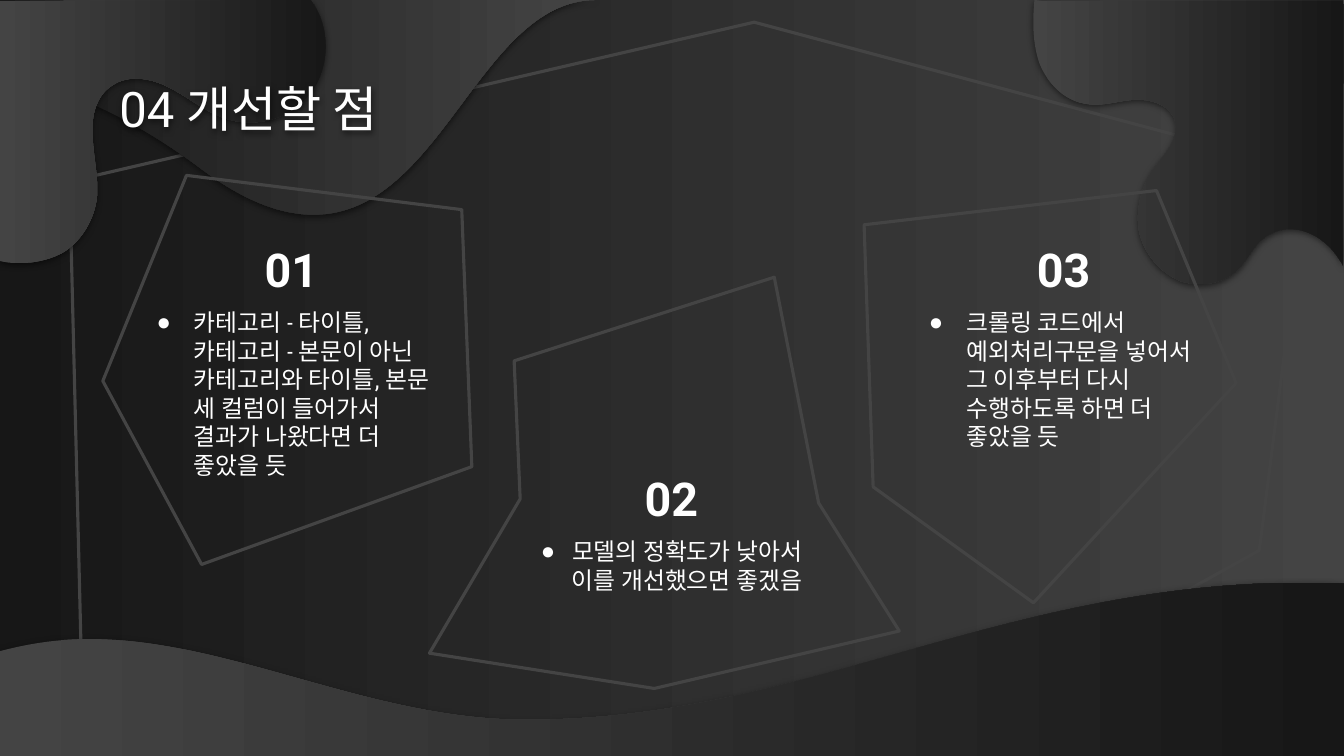
from copy import deepcopy
from dataclasses import dataclass, field

from lxml import etree
from pptx import Presentation, util as u
from pptx.dml import color
from pptx.enum import text
from pptx.oxml import ns

PX = 9144


@dataclass(frozen=True)
class Theme:
    dark: str = "171717"
    light: str = "444444"
    ink: str = "FFFFFF"
    shade: str = "000000"
    head_font: str = "Roboto"
    list_font: str = "Roboto Condensed"
    bullet_font: str = "Arial"
    title_size: float = 35
    number_size: float = 33.3
    list_size: float = 17
    line_width: float = 2.25
    inset: float = 9.6


@dataclass(frozen=True)
class Wave:
    box: tuple
    start: tuple
    segments: tuple
    light_first: bool = True


@dataclass(frozen=True)
class Label:
    words: str
    box: tuple
    size: float
    font: str
    bold: bool = False
    align: text.PP_ALIGN = text.PP_ALIGN.LEFT
    anchor: text.MSO_ANCHOR = text.MSO_ANCHOR.TOP
    bullet: bool = False
    margin: int = 0
    hang: int = 0
    after: float = 0


@dataclass(frozen=True)
class Card:
    number: str
    words: str
    left: int
    top: int
    height: int
    frame: tuple
    style: dict = field(default_factory=lambda: {"margin": 50, "hang": 37})


THEME = Theme()

BACKDROP_FRAME = ((69, 180), (82, 710), (929, 724), (1249, 546), (1297, 169), (748, 22))

WAVES = (
    Wave((1024, 0, 310, 286), (1332, 263), (
        (1324, 249, 1313, 237, 1298, 231), (1284, 225, 1266, 226, 1254, 236),
        (1244, 243, 1239, 255, 1231, 264), (1217, 281, 1192, 286, 1171, 279),
        (1151, 271, 1135, 252, 1130, 231), (1126, 210, 1131, 187, 1143, 169),
        (1149, 161, 1155, 154, 1160, 146), (1165, 138, 1168, 128, 1165, 119),
        (1160, 104, 1141, 98, 1125, 99), (1109, 100, 1093, 106, 1077, 103),
        (1056, 100, 1039, 83, 1031, 63), (1024, 43, 1024, 21, 1026, 0),
        (1029, 0, 1032, 1, 1034, 1), (1332, 1), (1333, 88, 1330, 176, 1332, 263))),
    Wave((0, 0, 591, 214), (311, 213), (
        (438, 213, 476, 0, 591, 0), (0, 0), (1, 75),
        (1, 75, 87, 84, 196, 165), (242, 200, 279, 213, 311, 213)), False),
    Wave((0, 0, 328, 264), (0, 259), (
        (20, 264, 48, 260, 65, 249), (82, 237, 93, 218, 96, 197),
        (98, 178, 93, 158, 92, 138), (90, 118, 94, 96, 111, 85),
        (128, 73, 152, 78, 170, 88), (189, 98, 205, 112, 225, 118),
        (256, 128, 292, 116, 310, 90), (328, 63, 327, 25, 308, 0), (0, 1))),
    Wave((0, 578, 1333, 172), (1295, 578), (
        (993, 578, 796, 714, 525, 714), (522, 714, 518, 714, 515, 714),
        (363, 712, 227, 634, 88, 634), (59, 634, 30, 638, 0, 646),
        (0, 750), (1333, 750), (1333, 579), (1320, 578, 1307, 578, 1295, 578))),
)

CARDS = (
    Card("01", "카테고리 - 타이틀, 카테고리 - 본문이 아닌 카테고리와 타이틀, 본문 세 컬럼이 "
         "들어가서 결과가 나왔다면 더 좋았을 듯", 129, 226, 94,
         ((102, 378), (200, 560), (468, 463), (458, 208), (185, 174))),
    Card("02", "모델의 정확도가 낮아서 이를 개선했으면 좋겠음", 506, 453, 94,
         ((510, 358), (516, 495), (426, 648), (649, 683), (892, 626), (812, 499), (768, 275)),
         {"margin": 31, "hang": 31, "after": 21.3, "align": text.PP_ALIGN.CENTER}),
    Card("03", "크롤링 코드에서 예외처리구문을 넣어서 그 이후부터 다시 수행하도록 하면 더 좋았을 듯",
         895, 226, 162,
         ((857, 223), (866, 483), (1025, 598), (1226, 380), (1147, 189))),
)


def rgb(value: str) -> color.RGBColor:
    return color.RGBColor.from_string(value)


def assign(target, values: dict) -> None:
    for name, value in values.items():
        setattr(target, name, value)


def add_node(parent, tag: str, **attributes):
    return etree.SubElement(parent, ns.qn(tag), attributes)


def paint_gradient(fill, first: str, last: str) -> None:
    fill.gradient()
    fill.gradient_angle = 0
    for stop, value in zip(fill.gradient_stops, (first, last)):
        stop.color.rgb = rgb(value)


def cast_shadow(shape) -> None:
    shape.shadow.inherit = False
    effects = shape.element.spPr.find(ns.qn("a:effectLst"))
    shadow = add_node(effects, "a:outerShdw", blurRad=str(u.Pt(4.5)), dist=str(u.Pt(1.5)),
                      dir="5400000", algn="bl", rotWithShape="0")
    tint = add_node(shadow, "a:srgbClr", val=THEME.shade)
    add_node(tint, "a:alpha", val="50000")


def add_outline(page, points):
    scaled = [(x * PX, y * PX) for x, y in points]
    builder = page.shapes.build_freeform(*scaled[0], scale=1.0)
    builder.add_line_segments(scaled[1:], close=True)
    shape = builder.convert_to_shape()
    shape.shadow.inherit = False
    return shape


def add_frame(page, points: tuple) -> None:
    shape = add_outline(page, points)
    shape.fill.background()
    shape.line.color.rgb = rgb(THEME.light)
    shape.line.width = u.Pt(THEME.line_width)


def bend(shape, wave: Wave) -> None:
    outline = next(shape.element.iter(ns.qn("a:path")))
    for step in list(outline):
        outline.remove(step)
    left, top = wave.box[:2]
    tags = {2: "a:lnTo", 6: "a:cubicBezTo"}
    steps = [("a:moveTo", wave.start), *((tags[len(s)], s) for s in wave.segments)]
    for tag, numbers in steps:
        step = add_node(outline, tag)
        for x, y in zip(numbers[::2], numbers[1::2]):
            add_node(step, "a:pt", x=str((x - left) * PX), y=str((y - top) * PX))
    add_node(outline, "a:close")


def add_wave(page, wave: Wave) -> None:
    left, top, width, height = wave.box
    right, bottom = left + width, top + height
    shape = add_outline(page, ((left, top), (right, top), (right, bottom), (left, bottom)))
    bend(shape, wave)
    ends = (THEME.light, THEME.dark)
    paint_gradient(shape.fill, *(ends if wave.light_first else ends[::-1]))
    shape.line.fill.background()
    cast_shadow(shape)


def fill_label(page, box, label: Label) -> None:
    page.shapes.element.append(box.element)
    assign(box, dict(zip(("left", "top", "width", "height"), (n * PX for n in label.box))))
    frame = box.text_frame
    sides = ("margin_left", "margin_top", "margin_right", "margin_bottom")
    assign(frame, {"word_wrap": True, "auto_size": text.MSO_AUTO_SIZE.NONE,
                   "vertical_anchor": label.anchor,
                   **dict.fromkeys(sides, u.Pt(THEME.inset))})
    para = frame.paragraphs[0]
    assign(para, {"alignment": label.align, "line_spacing": 1.0,
                  "space_before": u.Pt(0), "space_after": u.Pt(label.after)})
    props = para._p.get_or_add_pPr()
    props.set("marL", str(label.margin * PX))
    props.set("indent", str(-label.hang * PX))
    if label.bullet:
        add_node(add_node(props, "a:buClr"), "a:srgbClr", val=THEME.ink)
        add_node(props, "a:buFont", typeface=THEME.bullet_font)
        add_node(props, "a:buChar", char="●")
    else:
        add_node(props, "a:buNone")
    span = para.add_run()
    span.text = label.words
    assign(span.font, {"name": label.font, "size": u.Pt(label.size), "bold": label.bold})
    span.font.color.rgb = rgb(THEME.ink)


def card_labels(card: Card) -> tuple:
    return (
        Label(card.number, (card.left, card.top, 320, 77), THEME.number_size,
              THEME.head_font, bold=True, align=text.PP_ALIGN.CENTER),
        Label(card.words, (card.left, card.top + 66, 320, card.height), THEME.list_size,
              THEME.list_font, bullet=True, **card.style),
    )


def extend_layout(layout, count: int) -> None:
    body = layout.placeholders[1].element
    for index in range(1, count):
        twin = deepcopy(body)
        twin.ph.set("idx", str(20 + index))
        twin.nvSpPr.cNvPr.set("id", str(20 + index))
        body.getparent().append(twin)


def main() -> None:
    deck = Presentation()
    assign(deck, {"slide_width": 1333 * PX, "slide_height": 750 * PX})
    labels = [label for card in CARDS for label in card_labels(card)]
    layout = deck.slide_layouts[1]
    extend_layout(layout, len(labels))
    page = deck.slides.add_slide(layout)
    paint_gradient(page.background.fill, THEME.dark, THEME.light)
    title, *bodies = list(page.placeholders)

    add_frame(page, BACKDROP_FRAME)
    for wave in WAVES:
        add_wave(page, wave)
    for card in CARDS:
        add_frame(page, card.frame)
    fill_label(page, title, Label("04 개선할 점", (105, 65, 1123, 84), THEME.title_size,
                                  THEME.head_font, anchor=text.MSO_ANCHOR.MIDDLE))
    cast_shadow(title)
    for box, label in zip(bodies, labels):
        fill_label(page, box, label)
    deck.save("out.pptx")


if __name__ == "__main__":
    main()
